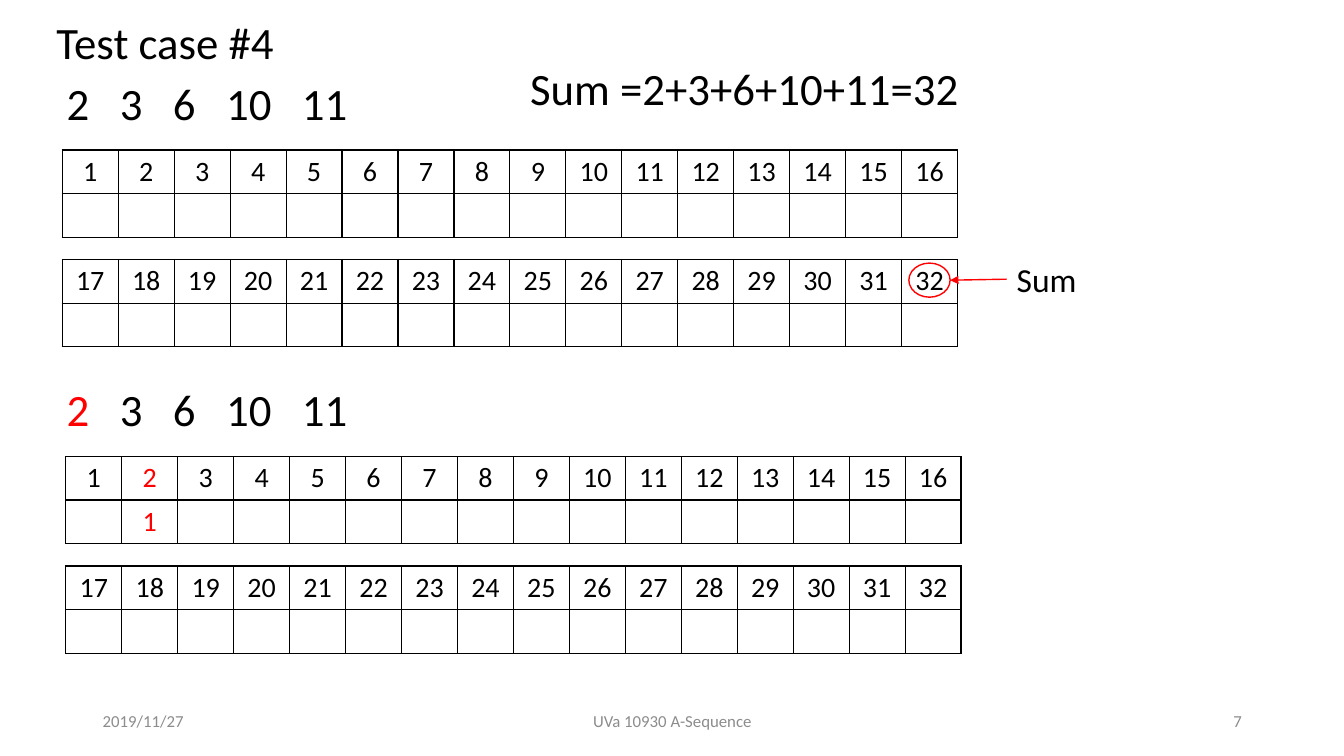
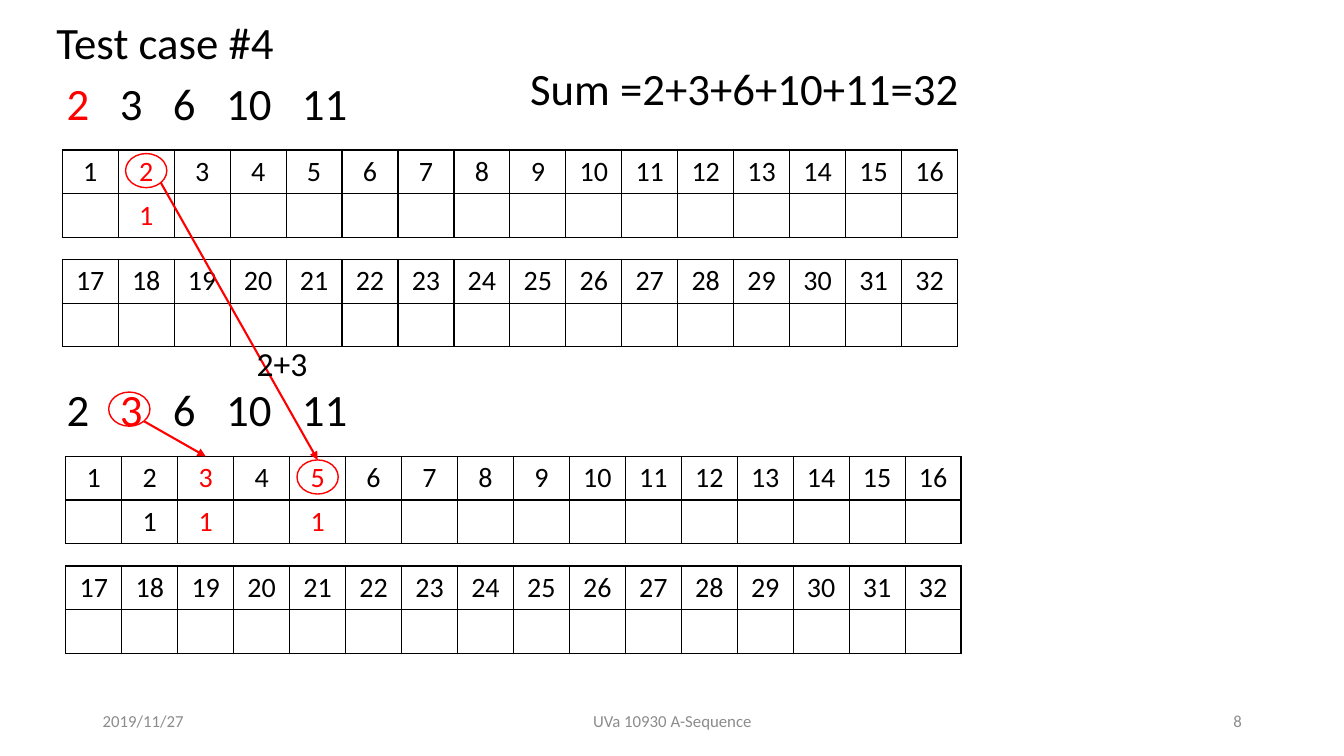
from lxml.etree import SubElement
from pptx import Presentation
from pptx.dml.color import RGBColor
from pptx.enum.shapes import MSO_CONNECTOR as CONN, MSO_SHAPE as SHAPE
from pptx.enum.text import MSO_ANCHOR as ANCHOR, MSO_AUTO_SIZE as FIT, PP_ALIGN as ALIGN
from pptx.oxml.ns import qn
from pptx.util import Cm, Pt

COLORS = {"text": "000000", "hit": "FF0000", "footer": "8C8C8C", "border": "000000"}
FONT = "Calibri"
SEQUENCE = [2, 3, 6, 10, 11]
PER_ROW = 16
CELL_W, CELL_H = 1.41, 1.1
TABLE_TOPS = (2, 4.76)
SEQ_LEFT = 1.43
DIGIT_W, SEQ_GAP = 0.57, 0.77
RING_W, RING_H, RING_TOP = 1.04, 0.86, 0.09
UPPER, LOWER = (1.57, 1.78), (1.66, 9.5)


def rgb(name):
    return RGBColor.from_string(COLORS[name])


def add_run(p, text, size, color="text"):
    r = p.add_run()
    r.text = text
    for key, value in {"name": FONT, "size": Pt(size)}.items():
        setattr(r.font, key, value)
    r.font.color.rgb = rgb(color)


def add_text(s, box, text="", size=32, color="text", align=ALIGN.LEFT,
             anchor=ANCHOR.TOP, fit=FIT.SHAPE_TO_FIT_TEXT):
    sp = s.shapes.add_textbox(*map(Cm, box))
    tf = sp.text_frame
    for key, value in {"word_wrap": True, "auto_size": fit,
                       "vertical_anchor": anchor}.items():
        setattr(tf, key, value)
    p = tf.paragraphs[0]
    p.alignment = align
    if text:
        add_run(p, text, size, color)
    return sp


def add_footer(s, number):
    cells = [(2.34, 7.62, "2019/11/27", ALIGN.LEFT),
             (11.23, 11.43, "UVa 10930 A-Sequence", ALIGN.CENTER),
             (23.93, 7.62, str(number), ALIGN.RIGHT)]
    for x, w, text, align in cells:
        add_text(s, (x, 17.65, w, 1.02), text, 12, "footer", align, ANCHOR.MIDDLE, FIT.NONE)


def add_header(s):
    add_text(s, (1.17, 0.25, 6.17, 1.63), "Test case #4")
    add_text(s, (13.11, 1.4, 11.4, 1.63), "Sum =2+3+6+10+11=32")


def add_sequence(s, top, current):
    """Lists the sequence on tab stops, with the current term in red."""
    p = add_text(s, (SEQ_LEFT, top, 8.13, 1.63)).text_frame.paragraphs[0]
    stops = SubElement(p._p.get_or_add_pPr(), qn("a:tabLst"))
    pos = 0
    for i, term in enumerate(SEQUENCE):
        if i:
            SubElement(stops, qn("a:tab"), pos=str(Cm(pos)), algn="l")
            add_run(p, "\t", 32)
        add_run(p, str(term), 32, "hit" if term == current else "text")
        pos += len(str(term)) * DIGIT_W + SEQ_GAP


def style_cell(cell):
    tc_pr = cell._tc.get_or_add_tcPr()
    for side in ("lnL", "lnR", "lnT", "lnB"):
        ln = SubElement(tc_pr, qn(f"a:{side}"), w=str(Pt(1)))
        fill = SubElement(ln, qn("a:solidFill"))
        SubElement(fill, qn("a:srgbClr"), val=COLORS["border"])
    cell.fill.background()
    for key, value in {"margin_top": Cm(0.1), "margin_bottom": Cm(0.1), "margin_left": Cm(0.1),
                       "margin_right": Cm(0.1), "vertical_anchor": ANCHOR.MIDDLE}.items():
        setattr(cell, key, value)


def add_number_table(s, x, y, first, marks):
    """Numbers from first on; marks maps each reachable sum to its colour."""
    table = s.shapes.add_table(2, PER_ROW, Cm(x), Cm(y), Cm(CELL_W * PER_ROW),
                               Cm(CELL_H * 2)).table
    table.first_row = table.horz_banding = False
    for row in table.rows:
        row.height = Cm(CELL_H)
    for i, col in enumerate(table.columns):
        col.width = Cm(CELL_W)
        number = first + i
        for row, text in enumerate((str(number), "1" if number in marks else "")):
            cell = table.cell(row, i)
            style_cell(cell)
            p = cell.text_frame.paragraphs[0]
            p.alignment = ALIGN.CENTER
            if text:
                add_run(p, text, 20, marks.get(number, "text"))


def add_panel(s, origin, current=None, marks=None):
    x, y = origin
    add_sequence(s, y, current)
    for i, top in enumerate(TABLE_TOPS):
        add_number_table(s, x, y + top, 1 + i * PER_ROW, marks or {})


def cell_corner(origin, number):
    row, col = divmod(number - 1, PER_ROW)
    return origin[0] + col * CELL_W, origin[1] + TABLE_TOPS[row]


def add_ring(s, x, y):
    sp = s.shapes.add_shape(SHAPE.OVAL, *map(Cm, (x, y, RING_W, RING_H)))
    sp.shadow.inherit = False
    sp.fill.background()
    sp.line.color.rgb = rgb("hit")
    sp.line.width = Pt(1)
    return sp


def ring_number(s, origin, number):
    x, y = cell_corner(origin, number)
    return add_ring(s, x + (CELL_W - RING_W) / 2, y + RING_TOP)


def ring_point(ring, dx, dy):
    """Point at dx, dy half-axes from the ring's centre."""
    return (int(ring.left + ring.width * (1 + dx) / 2),
            int(ring.top + ring.height * (1 + dy) / 2))


def add_arrow(s, start, end, width=1.5):
    c = s.shapes.add_connector(CONN.STRAIGHT, *start, *end)
    c.line.color.rgb = rgb("hit")
    c.line.width = Pt(width)
    sp_pr = c._element.spPr
    SubElement(sp_pr.find(qn("a:ln")), qn("a:tailEnd"), type="triangle")
    SubElement(sp_pr, qn("a:effectLst"))
    return c


def add_base_slide(prs, number):
    s = prs.slides.add_slide(prs.slide_layouts[6])
    add_footer(s, number)
    add_header(s)
    return s


def build_first_term(prs):
    s = add_base_slide(prs, 7)
    add_panel(s, UPPER)
    add_panel(s, LOWER, 2, {2: "hit"})
    ring = ring_number(s, UPPER, 32)
    label = add_text(s, (25.37, 6.4, 2.18, 1.27), "Sum", 24)
    arrow = add_arrow(s, (label.left, label.top), ring_point(ring, 1, 0), 1)
    arrow.begin_connect(label, 1)


def build_second_term(prs):
    s = add_base_slide(prs, 8)
    add_panel(s, UPPER, 2, {2: "hit"})
    add_panel(s, LOWER, 3, {2: "text", 3: "hit", 5: "hit"})
    old_sum, new_sum = ring_number(s, UPPER, 2), ring_number(s, LOWER, 5)
    term = add_ring(s, 2.74, LOWER[1] + 0.38)
    diagonal = 0.71
    add_arrow(s, ring_point(old_sum, diagonal, diagonal), ring_point(new_sum, 0, -1))
    add_text(s, (6.22, 8.51, 2.44, 1.27), "2+3", 24)
    x, y = cell_corner(LOWER, 3)
    add_arrow(s, ring_point(term, diagonal, diagonal), (Cm(x + CELL_W / 2), Cm(y)))


def main():
    prs = Presentation()
    prs.slide_width, prs.slide_height = Cm(33.87), Cm(19.05)
    build_first_term(prs)
    build_second_term(prs)
    prs.save("out.pptx")


if __name__ == "__main__":
    main()
